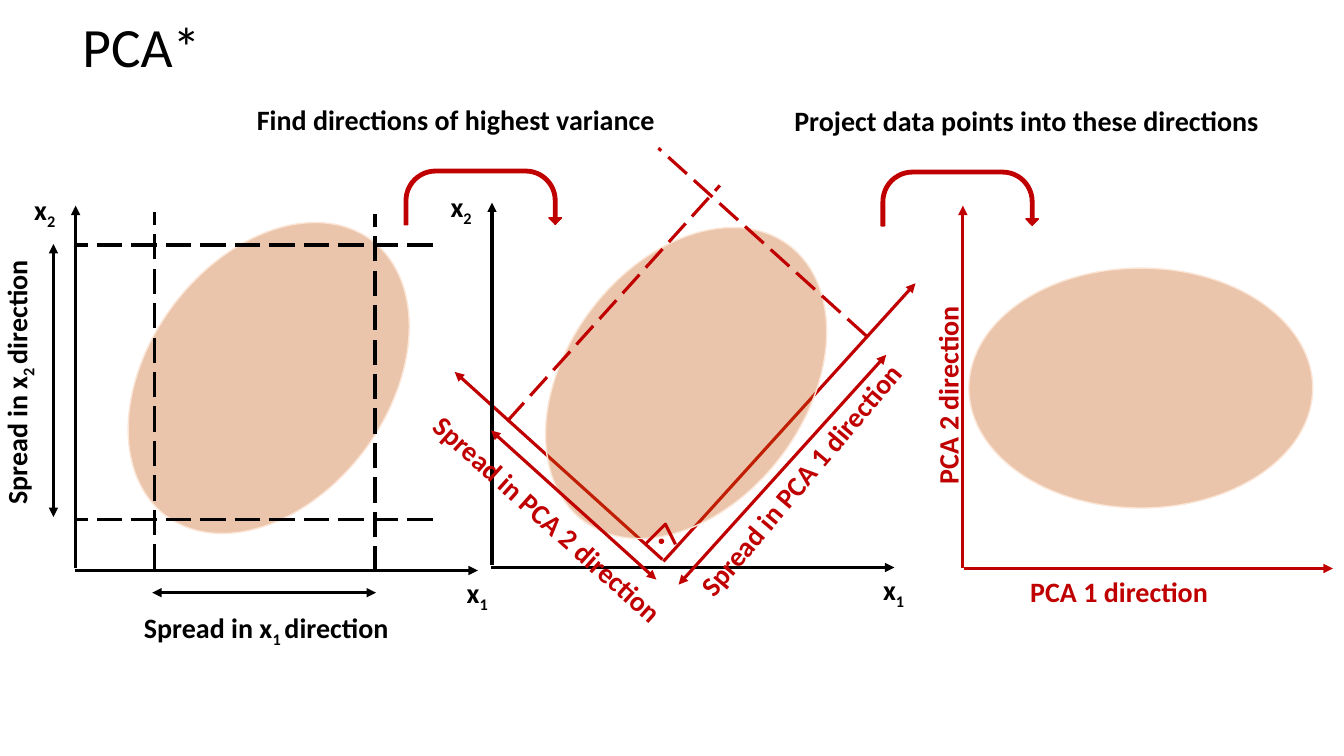
from lxml.etree import SubElement
from pptx import Presentation
from pptx.dml.color import RGBColor
from pptx.enum.shapes import MSO_CONNECTOR as Connector, MSO_SHAPE as Shape
from pptx.enum.text import MSO_ANCHOR as Anchor, PP_ALIGN as Align
from pptx.oxml.ns import qn
from pptx.util import Inches, Pt

COLORS = {"ink": "000000", "pca": "C00000", "cloud": "C55A11", "rim": "FBE5D6"}
CELL = Inches(0.1)  # grid of 133.33 columns by 75 rows
CLOUD_SIZE = (34.1, 23.8)


def rgb(name):
    return RGBColor.from_string(COLORS[name])


class Diagram:
    """Draws on one slide; every length is in grid columns and rows."""

    font, label_size, line_width = "Calibri", 20, 2.25

    def __init__(self, slide):
        self.shapes = slide.shapes

    def cells(self, *lengths):
        return [round(length * CELL) for length in lengths]

    def text(self, wording, box, color="ink", size=None, bold=True,
             align=Align.LEFT, turn=0):
        """Write wording; every second part between bars is a subscript."""
        label = self.shapes.add_textbox(*self.cells(*box))
        label.rotation = turn
        frame = label.text_frame
        frame.word_wrap = True
        paragraph = frame.paragraphs[0]
        paragraph.alignment = align
        for index, part in enumerate(wording.split("|")):
            run = paragraph.add_run()
            run.text = part
            run.font.name, run.font.bold = self.font, bold
            run.font.size = Pt(size or self.label_size)
            run.font.color.rgb = rgb(color)
            if index % 2:
                run.font._element.set("baseline", "-25000")
        return frame

    def line(self, start, end, color="ink", dash=None, head=False, tail=False):
        stroke = self.shapes.add_connector(
            Connector.STRAIGHT, *self.cells(*start, *end))
        stroke.line.color.rgb = rgb(color)
        stroke.line.width = Pt(self.line_width)
        outline = stroke.line._get_or_add_ln()
        if dash:
            SubElement(outline, qn("a:prstDash"), val=dash)
        for tag, shown in (("a:headEnd", head), ("a:tailEnd", tail)):
            if shown:
                SubElement(outline, qn(tag), type="triangle")
        SubElement(stroke._element.spPr, qn("a:effectLst"))

    def axis(self, start, end, color="ink"):
        self.line(start, end, color, tail=True)

    def guide(self, start, end, color="ink"):
        self.line(start, end, color, dash="lgDash")

    def spread(self, start, end, color="ink"):
        self.line(start, end, color, head=True, tail=True)

    def shape(self, kind, box, fill, rim, turn=0, opacity=100):
        area = self.shapes.add_shape(kind, *self.cells(*box))
        area.rotation = turn
        area.shadow.inherit = False
        area.fill.solid()
        area.fill.fore_color.rgb = rgb(fill)
        area.line.color.rgb = rgb(rim)
        area.line.width = Pt(1)
        if opacity < 100:
            tint = area._element.spPr.find(qn("a:solidFill"))[0]
            SubElement(tint, qn("a:alpha"), val=str(opacity * 1000))
        return area

    def cloud(self, left, top, turn=0):
        self.shape(Shape.OVAL, (left, top, *CLOUD_SIZE), "cloud", "rim", turn, 35)

    def step_arrow(self, left, top):
        arrow = self.shape(Shape.U_TURN_ARROW, (left, top, 15.6, 5.5), "pca", "pca")
        for index, value in enumerate((0.062, 0.113, 0.117, 0.564, 0.992)):
            arrow.adjustments[index] = value

    def right_angle(self, corners, dot):
        builder = self.shapes.build_freeform(*corners[0], scale=CELL)
        builder.add_line_segments(corners[1:], close=False)
        mark = builder.convert_to_shape()
        mark.shadow.inherit = False
        mark.fill.background()
        mark.line.color.rgb = rgb("pca")
        mark.line.width = Pt(self.line_width)
        self.shape(Shape.OVAL, (*dot, 0.4, 0.4), "pca", "pca")

    def data_axes(self, left, top):
        """Draw the x1 and x2 axes with their names."""
        self.axis((left + 0.1, top + 36), (left + 0.1, top))
        self.axis((left, top + 36.2), (left + 40, top + 36.2))
        self.text("x|1", (left + 37.9, top + 36.2, 6.1, 4.4))
        self.text("x|2", (left - 5, top - 1.8, 6.1, 4.4))


def draw_data_panel(diagram):
    diagram.cloud(9.6, 25.6, 306.5)
    diagram.data_axes(7.4, 20.4)
    for row in (24.3, 51.5):
        diagram.guide((42.9, row), (7.4, row))
    for column, bottom in ((37.2, 56.7), (15.3, 56.5)):
        diagram.guide((column, bottom), (column, bottom - 35.5))
    diagram.text("Spread in x|1 |direction", (13.3, 60.1, 33, 4.4))
    diagram.text("Spread in x|2 |direction", (-15.5, 31.7, 34.3, 4.4), turn=270)
    diagram.spread((15.1, 58.8), (37.3, 58.8))
    diagram.spread((5.3, 24.2), (5.3, 51.3))


def draw_directions_panel(diagram):
    diagram.axis((65.7, 55.5), (45.1, 36.9), "pca")
    diagram.axis((65.8, 55.7), (90.8, 28.1), "pca")
    diagram.cloud(51, 26.1, 306.5)
    diagram.data_axes(48.7, 20.1)
    diagram.guide((85.9, 33.3), (65.3, 14.7), "pca")
    diagram.guide((50.3, 41.8), (71.4, 18.4), "pca")
    diagram.spread((65.1, 57.5), (48.7, 42.7), "pca")
    diagram.spread((67.3, 58), (87.9, 35.2), "pca")
    for number, box, turn in ((2, (34.5, 49.3, 39.6, 4.4), 41.8),
                              (1, (59.1, 45.4, 40.6, 4.4), 310.2)):
        diagram.text(f"Spread in PCA {number} direction", box, "pca",
                     align=Align.CENTER, turn=turn)
    diagram.right_angle([(67.3, 53.8), (65.6, 52), (63.9, 53.7)], (65.4, 53.5))


def draw_projection_panel(diagram):
    diagram.axis((95.5, 56.4), (95.5, 20.4), "pca")
    diagram.axis((95.6, 56.4), (132.2, 56.4), "pca")
    diagram.text("PCA 1 direction", (90.7, 56.5, 40.6, 4.4), "pca",
                 align=Align.CENTER)
    diagram.text("PCA 2 direction", (74.2, 37, 39.6, 4.4), "pca",
                 align=Align.CENTER, turn=270)
    diagram.cloud(96.1, 26.6)


def main():
    deck = Presentation()
    deck.slide_width, deck.slide_height = Inches(13.33), Inches(7.5)
    diagram = Diagram(deck.slides.add_slide(deck.slide_layouts[6]))

    title = diagram.text("PCA*", (7.2, 2.1, 115, 5.6), size=39.6, bold=False)
    title.vertical_anchor = Anchor.MIDDLE
    title.paragraphs[0].line_spacing = 0.9

    draw_data_panel(diagram)
    draw_directions_panel(diagram)
    draw_projection_panel(diagram)

    diagram.text("Find directions of highest variance", (24.5, 9.7, 48.3, 4.4))
    diagram.text("Project data points into these directions", (77.8, 9.8, 55.3, 4.4))
    diagram.step_arrow(40.1, 16.8)
    diagram.step_arrow(87.4, 16.9)
    deck.save("out.pptx")


if __name__ == "__main__":
    main()
